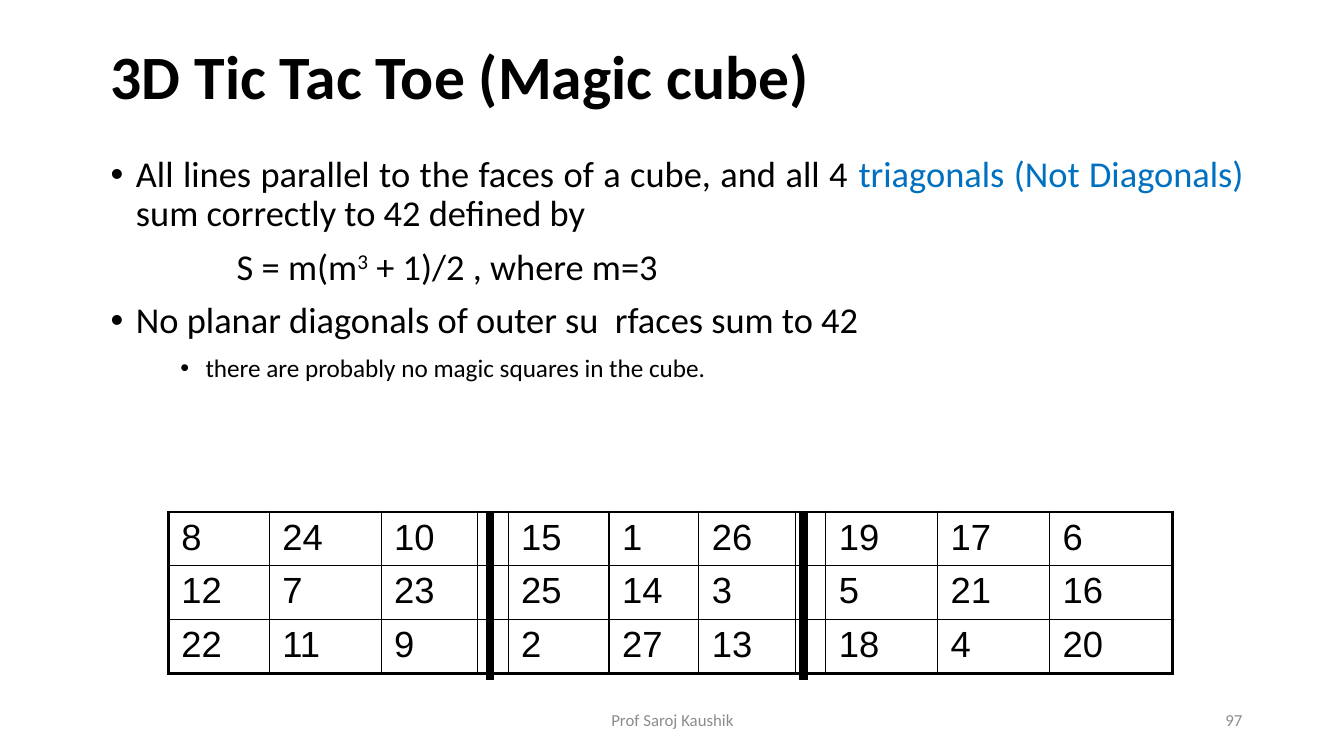
"""Build the slide on the 3D tic tac toe magic cube."""
from lxml.etree import SubElement as Sub
from pptx import Presentation
from pptx.dml.color import RGBColor as Rgb
from pptx.enum.shapes import MSO_CONNECTOR as Conn
from pptx.enum.text import MSO_ANCHOR as Anchor, PP_ALIGN as Align
from pptx.oxml import parse_xml
from pptx.oxml.ns import nsdecls, qn
from pptx.util import Inches, Pt

HUES = {"ink": "000000", "blue": "0070C0", "gray": "8C8C8C"}
WIDTHS = [1, 1.11, 0.96, 0.3, 1, 0.89, 0.96, 0.3, 1.11, 1.11, 1.22]
LAYERS = [
    [[8, 24, 10], [12, 7, 23], [22, 11, 9]],
    [[15, 1, 26], [25, 14, 3], [2, 27, 13]],
    [[19, 17, 6], [5, 21, 16], [18, 4, 20]],
]
BODY = [
    (0.25, True, [("All lines parallel to the faces of a cube, and all 4 ", {}),
                  ("triagonals (Not Diagonals)", {"hue": "blue"}),
                  (" sum correctly to 42 defined by", {})]),
    (0.25, False, [("\t\t\tS = m(m", {}), ("3", {"base": 30}),
                   (" + 1)/2 , where m=3 ", {})]),
    (0.25, True, [("No planar diagonals of outer su\trfaces sum to 42", {})]),
    (0.94, True, [("there are probably no magic squares in the cube.",
                   {"size": 18})]),
]


def assign(obj, vals):
    for key, val in vals.items():
        setattr(obj, key, val)


def add_run(para, text, size, hue="ink", name="Calibri", bold=False, base=0):
    run = para.add_run()
    run.text = text
    assign(run.font, {"size": Pt(size), "name": name, "bold": bold})
    run.font.color.rgb = Rgb.from_string(HUES[hue])
    if base:
        run._r.get_or_add_rPr().set("baseline", str(base * 1000))


def add_box(slide, x, y, w, h, anchor=Anchor.MIDDLE):
    box = slide.shapes.add_textbox(*map(Inches, (x, y, w, h)))
    assign(box.text_frame, {"word_wrap": True, "vertical_anchor": anchor})
    return box.text_frame


def add_label(slide, place, text, align, **look):
    para = add_box(slide, *place).paragraphs[0]
    assign(para, {"alignment": align, "line_spacing": 0.9})
    add_run(para, text, **look)


def set_bullet(para, indent, mark):
    props = para._p.get_or_add_pPr()
    props.set("marL", str(Inches(indent)))
    props.set("indent", str(Inches(-0.25)))
    if mark:
        Sub(props, qn("a:buFont")).set("typeface", "Arial")
        Sub(props, qn("a:buChar")).set("char", "•")
    else:
        Sub(props, qn("a:buNone"))


def add_body(slide):
    frame = add_box(slide, 1, 1.5, 11.44, 3.25, Anchor.TOP)
    for num, (indent, mark, runs) in enumerate(BODY):
        para = frame.add_paragraph() if num else frame.paragraphs[0]
        assign(para, {"alignment": Align.JUSTIFY, "line_spacing": 0.9,
                      "space_before": Pt(10)})
        set_bullet(para, indent, mark)
        for text, look in runs:
            add_run(para, text, **{"size": 26, **look})


def set_edges(cell, thick):
    props = cell._tc.get_or_add_tcPr()
    for num, side in enumerate("LRTB"):
        wide = Pt(2.25 if side in thick else 1)
        props.insert(num, parse_xml(
            f'<a:ln{side} {nsdecls("a")} w="{wide}"><a:solidFill>'
            f'<a:srgbClr val="{HUES["ink"]}"/></a:solidFill></a:ln{side}>'))


def add_grid(slide):
    rows, cols = 3, len(WIDTHS)
    grid = slide.shapes.add_table(
        rows, cols, Inches(1.67), Inches(5.08),
        Inches(sum(WIDTHS)), Inches(0.53 * rows)).table
    assign(grid, {"first_row": False, "horz_banding": False})
    for col, wide in zip(grid.columns, WIDTHS):
        col.width = Inches(wide)
    for r, row in enumerate(grid.rows):
        row.height = Inches(0.53)
        for c, cell in enumerate(row.cells):
            assign(cell, {"margin_left": Inches(0.13),
                          "margin_right": Inches(0.13)})
            cell.fill.background()
            ends = {"L": c == 0, "R": c == cols - 1,
                    "T": r == 0, "B": r == rows - 1}
            set_edges(cell, [side for side in ends if ends[side]])
            layer, spot = divmod(c, 4)
            if spot < 3:
                add_run(cell.text_frame.paragraphs[0],
                        str(LAYERS[layer][r][spot]), 26, name="Arial")


def add_bar(slide, x):
    bar = slide.shapes.add_connector(
        Conn.STRAIGHT, *map(Inches, (x, 5.08, x, 6.75)))
    bar.line.width = Pt(6)
    bar.line.color.rgb = Rgb.from_string(HUES["ink"])
    Sub(bar._element.spPr, qn("a:effectLst"))


def main():
    deck = Presentation()
    assign(deck, {"slide_width": Inches(13.33), "slide_height": Inches(7.5)})
    slide = deck.slides.add_slide(deck.slide_layouts[6])
    add_label(slide, (4.42, 6.95, 4.5, 0.4), "Prof Saroj Kaushik",
              Align.CENTER, size=12, hue="gray")
    add_label(slide, (9.42, 6.95, 3, 0.4), "97",
              Align.RIGHT, size=12, hue="gray")
    add_label(slide, (1, 0.25, 11.33, 1.08), "3D Tic Tac Toe (Magic cube)",
              Align.LEFT, size=44, bold=True)
    add_body(slide)
    add_grid(slide)
    for x in (4.86, 7.97):
        add_bar(slide, x)
    deck.save("out.pptx")


if __name__ == "__main__":
    main()
